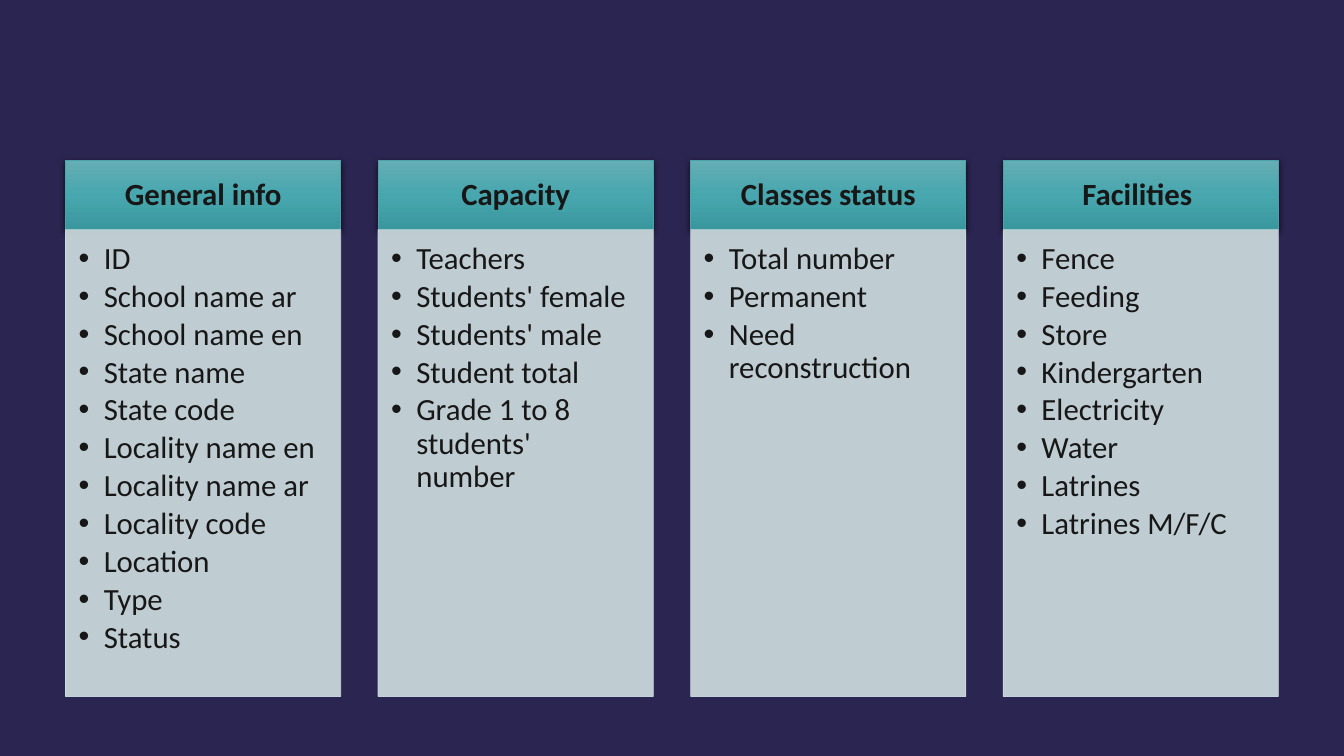
from dataclasses import dataclass

from lxml.etree import SubElement
from pptx import Presentation
from pptx.dml.color import RGBColor
from pptx.enum.shapes import MSO_SHAPE
from pptx.enum.text import MSO_ANCHOR, PP_ALIGN
from pptx.oxml.ns import qn
from pptx.util import Inches, Pt


@dataclass(frozen=True)
class Theme:
    background: str = "2B2551"
    text: str = "181717"
    header_line: str = "4CA2A9"
    header_stops: tuple = ((0, "65ADB4"), (50, "47A6AE"), (100, "3B979E"))
    panel: str = "D0E0E2"
    panel_opacity: int = 90
    shadow: str = "000000"
    shadow_opacity: int = 63
    font: str = "Calibri"
    text_size: int = 22
    line_width: float = 0.5


COLUMNS = {
    "General info": [
        "ID", "School name ar", "School name en", "State name", "State code",
        "Locality name en", "Locality name ar", "Locality code", "Location",
        "Type", "Status",
    ],
    "Capacity": [
        "Teachers", "Students' female", "Students' male", "Student total",
        "Grade 1 to 8 students' number",
    ],
    "Classes status": ["Total number", "Permanent", "Need reconstruction"],
    "Facilities ": [
        "Fence", "Feeding", "Store", "Kindergarten", "Electricity", "Water",
        "Latrines", "Latrines M/F/C",
    ],
}

LEFT, TOP = 0.65, 1.59
COLUMN_WIDTH, COLUMN_STEP = 2.73, 3.1
HEADER_HEIGHT, PANEL_HEIGHT = 0.69, 4.63


def add_opacity(color_element, percent):
    SubElement(color_element, qn("a:alpha"), val=str(percent * 1000))


def write_text(shape, lines, *, theme, margins, anchor=MSO_ANCHOR.TOP,
               align=PP_ALIGN.LEFT, bold=False, bullet=False, space_after=0):
    frame = shape.text_frame
    frame.word_wrap = True
    frame.vertical_anchor = anchor
    (frame.margin_left, frame.margin_top,
     frame.margin_right, frame.margin_bottom) = map(Inches, margins)
    frame.text = "\n".join(lines)
    for paragraph in frame.paragraphs:
        paragraph.alignment = align
        paragraph.line_spacing = 0.9
        paragraph.space_after = Pt(space_after)
        font = paragraph.runs[0].font
        font.name = theme.font
        font.size = Pt(theme.text_size)
        font.bold = bold
        font.color.rgb = RGBColor.from_string(theme.text)
        if bullet:
            properties = paragraph._p.get_or_add_pPr()
            properties.set("marL", str(Inches(0.25)))
            properties.set("indent", str(Inches(-0.25)))
            SubElement(properties, qn("a:buFont"), typeface="Arial")
            SubElement(properties, qn("a:buChar"), char="•")


class SlideBuilder:
    def __init__(self, slide, theme):
        self.slide = slide
        self.theme = theme

    def background(self):
        fill = self.slide.background.fill
        fill.solid()
        fill.fore_color.rgb = RGBColor.from_string(self.theme.background)

    def rectangle(self, left, top, width, height, line_color):
        shape = self.slide.shapes.add_shape(
            MSO_SHAPE.RECTANGLE, *map(Inches, (left, top, width, height)))
        shape.shadow.inherit = False
        shape.line.color.rgb = RGBColor.from_string(line_color)
        shape.line.width = Pt(self.theme.line_width)
        return shape

    def header(self, left, text):
        theme = self.theme
        shape = self.rectangle(left, TOP, COLUMN_WIDTH, HEADER_HEIGHT,
                               theme.header_line)

        # Three-stop vertical gradient
        shape.fill.gradient()
        shape.fill.gradient_angle = 270
        properties = shape._element.spPr
        stops = properties.find(qn("a:gradFill")).find(qn("a:gsLst"))
        for stop in list(stops):
            stops.remove(stop)
        for position, color in theme.header_stops:
            stop = SubElement(stops, qn("a:gs"), pos=str(position * 1000))
            SubElement(stop, qn("a:srgbClr"), val=color)

        # Soft shadow below the header
        shadow = SubElement(
            properties.find(qn("a:effectLst")), qn("a:outerShdw"),
            blurRad=str(Pt(4.5)), dist=str(Pt(1.5)), dir="5400000",
            algn="ctr", rotWithShape="0")
        color = SubElement(shadow, qn("a:srgbClr"), val=theme.shadow)
        add_opacity(color, theme.shadow_opacity)

        write_text(shape, [text], theme=theme, margins=(0.17, 0.1, 0.17, 0.1),
                   anchor=MSO_ANCHOR.MIDDLE, align=PP_ALIGN.CENTER, bold=True)

    def panel(self, left, items):
        theme = self.theme
        shape = self.rectangle(left, TOP + HEADER_HEIGHT, COLUMN_WIDTH,
                               PANEL_HEIGHT, theme.panel)
        shape.fill.solid()
        shape.fill.fore_color.rgb = RGBColor.from_string(theme.panel)
        for color in shape._element.spPr.iter(qn("a:srgbClr")):
            add_opacity(color, theme.panel_opacity)
        write_text(shape, items, theme=theme, margins=(0.13, 0.13, 0.17, 0.19),
                   bullet=True, space_after=3.3)


def main():
    presentation = Presentation()
    presentation.slide_width = Inches(13.33)
    presentation.slide_height = Inches(7.5)
    blank_layout = presentation.slide_layouts[6]
    builder = SlideBuilder(presentation.slides.add_slide(blank_layout), Theme())
    builder.background()

    # One header and one list panel per column
    for index, (title, items) in enumerate(COLUMNS.items()):
        left = LEFT + index * COLUMN_STEP
        builder.header(left, title)
        builder.panel(left, items)

    presentation.save("out.pptx")


if __name__ == "__main__":
    main()
